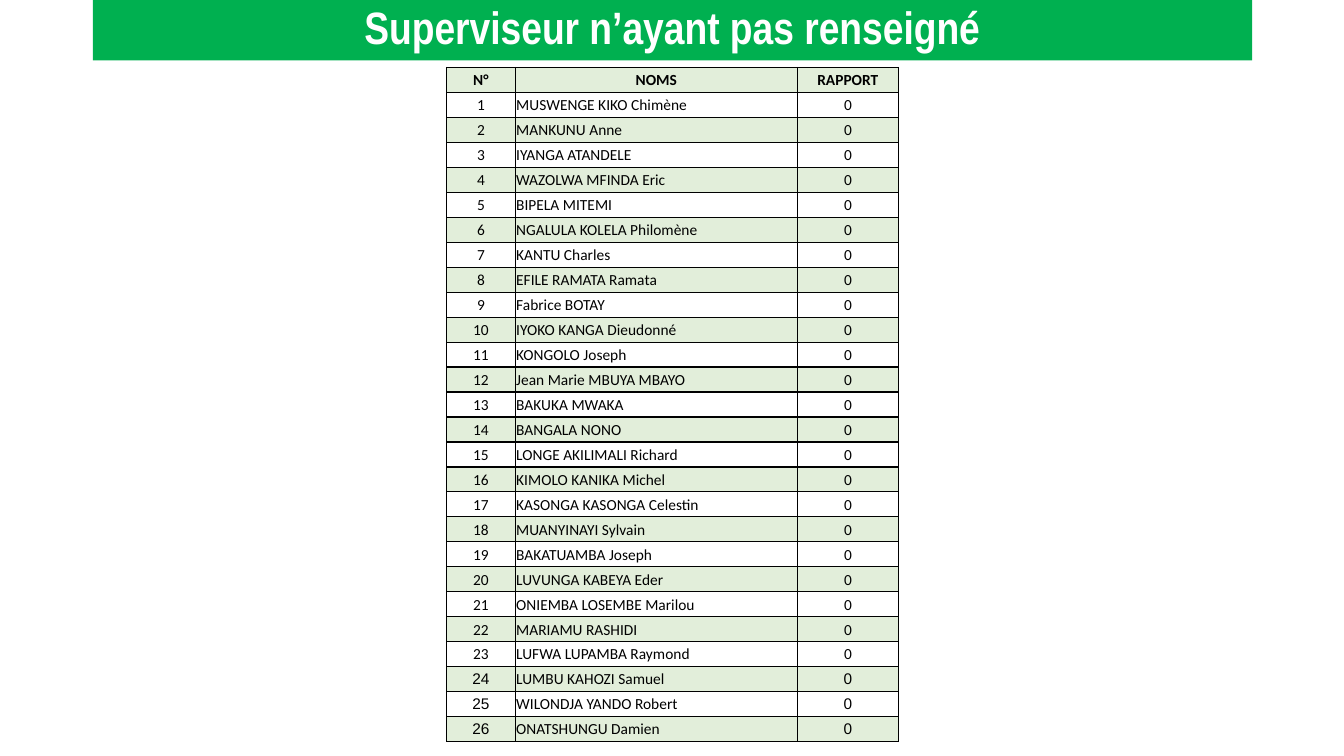
from dataclasses import dataclass

from lxml.etree import SubElement
from pptx import Presentation
from pptx.dml.color import RGBColor
from pptx.enum.text import MSO_ANCHOR as Anchor, MSO_AUTO_SIZE as AutoSize, PP_ALIGN as Align
from pptx.oxml.ns import qn
from pptx.util import Inches, Pt


@dataclass(frozen=True)
class Theme:
    """Colours, fonts and sizes of the slide."""
    banner: str = "00B050"
    band: str = "70AD47"
    band_alpha: int = 20
    ink: str = "000000"
    light: str = "FFFFFF"
    title_font: str = "Arial Narrow"
    body_font: str = "Calibri"
    late_font: str = "Arial"
    title_size: float = 32.4
    body_size: float = 11
    border: float = 1


THEME = Theme()
HEADERS = ("N°", "NOMS", "RAPPORT")
COLUMN_WIDTHS = (0.68, 2.8, 1)
TABLE_HEIGHT = 6.69
FIRST_LATE_ROW = 24
SUPERVISORS = (
    "MUSWENGE KIKO Chimène", "MANKUNU Anne", "IYANGA ATANDELE",
    "WAZOLWA MFINDA Eric", "BIPELA MITEMI", "NGALULA KOLELA Philomène",
    "KANTU Charles", "EFILE RAMATA Ramata", "Fabrice BOTAY",
    "IYOKO KANGA Dieudonné", "KONGOLO Joseph", "Jean Marie MBUYA MBAYO",
    "BAKUKA MWAKA", "BANGALA NONO", "LONGE AKILIMALI Richard",
    "KIMOLO KANIKA Michel", "KASONGA KASONGA Celestin", "MUANYINAYI Sylvain",
    "BAKATUAMBA Joseph", "LUVUNGA KABEYA Eder", "ONIEMBA LOSEMBE Marilou",
    "MARIAMU RASHIDI", "LUFWA LUPAMBA Raymond", "LUMBU KAHOZI Samuel",
    "WILONDJA YANDO Robert", "ONATSHUNGU Damien",
)


def set_font(para, name, size, color, bold):
    """Format a whole paragraph."""
    font = para.font
    font.name, font.size, font.bold = name, Pt(size), bold
    font.color.rgb = RGBColor.from_string(color)


def add_title(page, text):
    """Turn the title placeholder into the green banner."""
    title = page.shapes.title
    title.left, title.top = Inches(0.92), Inches(0)
    title.width, title.height = Inches(11.5), Inches(0.6)
    title.fill.solid()
    title.fill.fore_color.rgb = RGBColor.from_string(THEME.banner)
    frame = title.text_frame
    frame.text = text
    frame.word_wrap, frame.auto_size = True, AutoSize.NONE
    frame.vertical_anchor = Anchor.MIDDLE
    para = frame.paragraphs[0]
    para.alignment, para.line_spacing = Align.CENTER, 0.9
    set_font(para, THEME.title_font, THEME.title_size, THEME.light, True)


def add_borders(cell):
    """Draw the four borders of a cell."""
    properties = cell._tc.get_or_add_tcPr()
    for side in ("a:lnL", "a:lnR", "a:lnT", "a:lnB"):
        line = SubElement(properties, qn(side), w=str(Pt(THEME.border)))
        fill = SubElement(line, qn("a:solidFill"))
        SubElement(fill, qn("a:srgbClr"), val=THEME.ink)


def fill_cell(cell, banded):
    """Give a cell the translucent band colour or no fill."""
    if not banded:
        cell.fill.background()
        return
    cell.fill.solid()
    cell.fill.fore_color.rgb = RGBColor.from_string(THEME.band)
    color = cell._tc.tcPr.find(qn("a:solidFill")).find(qn("a:srgbClr"))
    SubElement(color, qn("a:alpha"), val=str(THEME.band_alpha * 1000))


def write_cell(cell, text, row, column):
    """Write and format a cell according to its place in the table."""
    cell.text = text
    cell.vertical_anchor = Anchor.MIDDLE
    cell.margin_left = cell.margin_right = cell.margin_top = Inches(0.01)
    cell.margin_bottom = Inches(0)
    is_name = row > 0 and column == 1
    late = row >= FIRST_LATE_ROW and not is_name
    para = cell.text_frame.paragraphs[0]
    para.alignment = Align.LEFT if is_name else Align.CENTER
    set_font(para, THEME.late_font if late else THEME.body_font,
             THEME.body_size, THEME.ink, row == 0)
    add_borders(cell)
    fill_cell(cell, row % 2 == 0)


def add_supervisor_table(page):
    """Add the numbered list of supervisors without any report."""
    rows = [HEADERS]
    rows += [(str(number), name, "0") for number, name in enumerate(SUPERVISORS, 1)]
    table = page.shapes.add_table(
        len(rows), len(HEADERS), Inches(4.43), Inches(0.67),
        Inches(sum(COLUMN_WIDTHS)), Inches(TABLE_HEIGHT)).table
    table.first_row = table.horz_banding = False
    for column, width in zip(table.columns, COLUMN_WIDTHS):
        column.width = Inches(width)
    for row, texts in enumerate(rows):
        for column, text in enumerate(texts):
            write_cell(table.cell(row, column), text, row, column)


def main():
    """Build the slide and save it."""
    deck = Presentation()
    deck.slide_width, deck.slide_height = Inches(13.33), Inches(7.5)
    page = deck.slides.add_slide(deck.slide_layouts[5])
    add_title(page, "Superviseur n’ayant pas renseigné")
    add_supervisor_table(page)
    deck.save("out.pptx")


if __name__ == "__main__":
    main()
